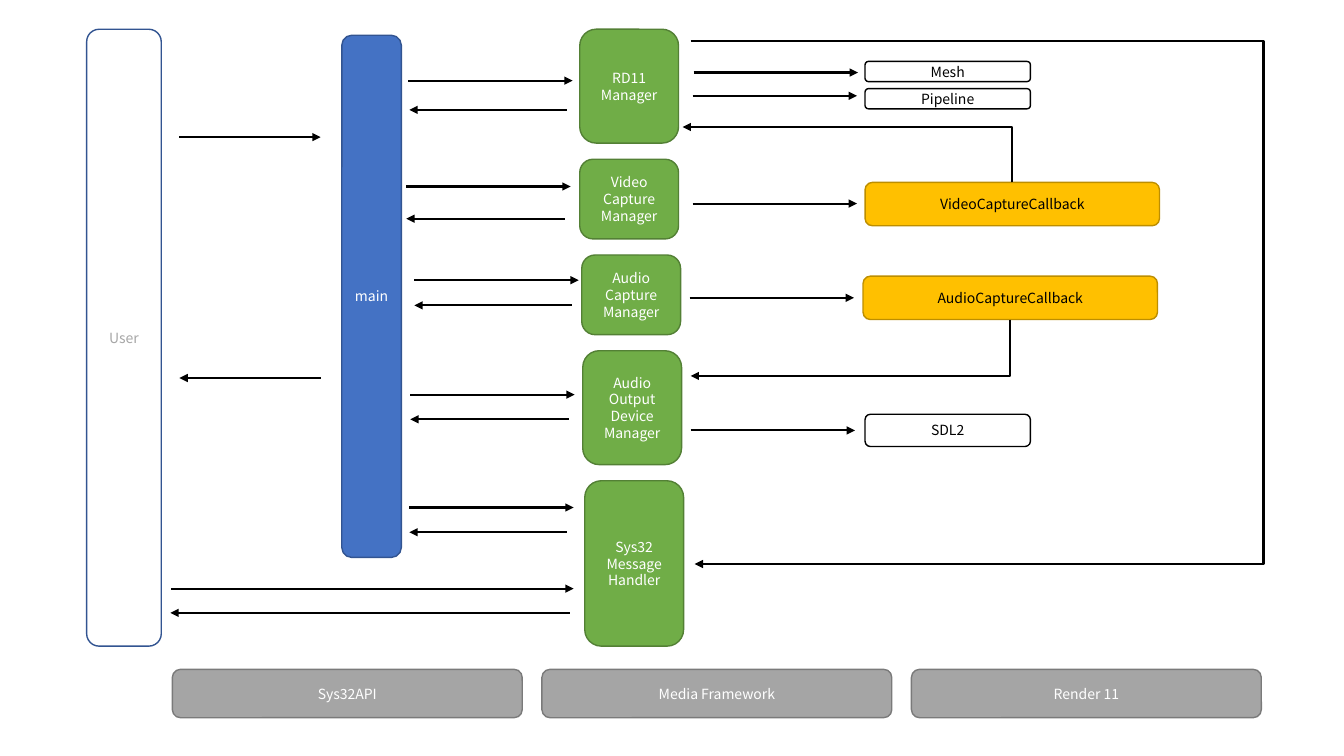
"""Draws the module map: user, main, managers, callbacks and base layers."""
from pptx import Presentation
from pptx.dml.color import RGBColor as Rgb
from pptx.enum.shapes import MSO_CONNECTOR as Kind, MSO_SHAPE as Form
from pptx.enum.text import PP_ALIGN as Align
from pptx.util import Inches, Pt
from lxml.etree import SubElement as Sub
from pptx.oxml.ns import qn

deck = Presentation()
deck.slide_width, deck.slide_height = Inches(13.33), Inches(7.5)
page = deck.slides.add_slide(deck.slide_layouts[6]).shapes
cell = Inches(0.1)


def box(text, col, row, wide, high, fill, edge, ink):
    form = page.add_shape(Form.ROUNDED_RECTANGLE, *[int(n * cell) for n in (col, row, wide, high)])
    form.shadow.inherit = False
    if fill:
        form.fill.solid()
        form.fill.fore_color.rgb = Rgb.from_string(fill)
    else:
        form.fill.background()
    form.line.color.rgb = Rgb.from_string(edge)
    form.line.width = Pt(1)
    form.text_frame.text = text
    for para in form.text_frame.paragraphs:
        para.alignment = Align.CENTER
        font = para.runs[0].font
        font.name, font.size = "Noto Sans CJK JP", Pt(10)
        font.color.rgb = Rgb.from_string(ink)


def arrow(x1, y1, x2, y2, kind=Kind.STRAIGHT):
    wire = page.add_connector(kind, *[int(n * cell) for n in (x1, y1, x2, y2)])
    wire.line.color.rgb = Rgb.from_string("000000")
    wire.line.width = Pt(1.5)
    prop = wire.element.spPr
    Sub(prop.get_or_add_ln(), qn("a:tailEnd")).set("type", "triangle")
    Sub(prop, qn("a:effectLst"))
    return prop


box("User", 8.6, 2.9, 7.4, 61.2, None, "325491", "A6A6A6")
box("main", 33.9, 3.5, 5.9, 51.8, "4472C4", "325491", "FFFFFF")

crew = [
    ("RD11\nManager", 57.5, 2.9, 11.3),
    ("Video\nCapture\nManager", 57.5, 15.8, 7.9),
    ("Audio\nCapture\nManager", 57.7, 25.3, 7.9),
    ("Audio\nOutput\nDevice\nManager", 57.8, 34.8, 11.3),
    ("Sys32\nMessage\nHandler", 58, 47.7, 16.4),
]
for name, col, row, high in crew:
    box(name, col, row, 9.8, high, "70AD47", "538035", "FFFFFF")

for name, row, high in [("Mesh", 6.1, 2), ("Pipeline", 8.8, 2), ("SDL2", 41.1, 3.2)]:
    box(name, 85.8, row, 16.4, high, None, "000000", "000000")

for name, col, row in [("Video", 85.8, 18.1), ("Audio", 85.6, 27.4)]:
    box(name + "CaptureCallback", col, row, 29.2, 4.3, "FFC000", "BD8E00", "000000")

for num, name in enumerate(["Sys32API", "Media Framework", "Render 11"]):
    box(name, 17.1 + num * 36.65, 66.4, 34.7, 4.8, "A5A5A5", "7A7A7A", "FFFFFF")

calls = [(40.5, 8, 56.2, 40.6, 10.9), (40.3, 18.5, 56, 40.3, 21.7),
         (41.1, 27.8, 56.7, 41.1, 30.3), (40.7, 39.15, 56.4, 40.7, 41.6),
         (40.6, 50.35, 56.2, 40.6, 52.8)]
for out, top, back, end, low in calls:
    arrow(out, top, out + 16.3, top)
    arrow(back, low, end, low)

for col, row in [(68.8, 7.2), (68.7, 9.5), (68.7, 20.2), (68.4, 29.55), (68.5, 42.7)]:
    arrow(col, row, col + 16.3, row)

for ends in [(17.8, 13.6, 31.8, 13.6), (31.8, 37.5, 17.8, 37.5),
             (17, 58.4, 56.9, 58.4), (56.5, 60.8, 16.9, 60.8)]:
    arrow(*ends)

for x1, y1, x2, y2 in [(100.4, 18.1, 67.7, 12.6), (100.2, 31.7, 68.5, 37.3)]:
    midx, midy = (x1 + x2) / 2, (y1 + y2) / 2
    down = y2 > y1
    half = abs(y2 - y1) / 2
    rise = (x1 - x2) / 2 if down else (x2 - x1) / 2
    prop = arrow(midx - half, midy - rise, midx + half, midy + rise, Kind.ELBOW)
    prop.find(qn("a:prstGeom")).set("prst", "bentConnector2")
    prop.find(qn("a:xfrm")).set("rot", str((90 if down else 270) * 60000))

start, stop, edge = 68.5, 68.9, 125.1
prop = arrow(start, 4.05, stop, 55.95, Kind.ELBOW)
geom = prop.find(qn("a:prstGeom"))
bend = geom.find(qn("a:avLst"))
if bend is None:
    bend = Sub(geom, qn("a:avLst"))
ratio = round((edge - start) / (stop - start) * 100000)
guide = Sub(bend, qn("a:gd"))
guide.set("name", "adj1")
guide.set("fmla", f"val {ratio}")

deck.save("out.pptx")
